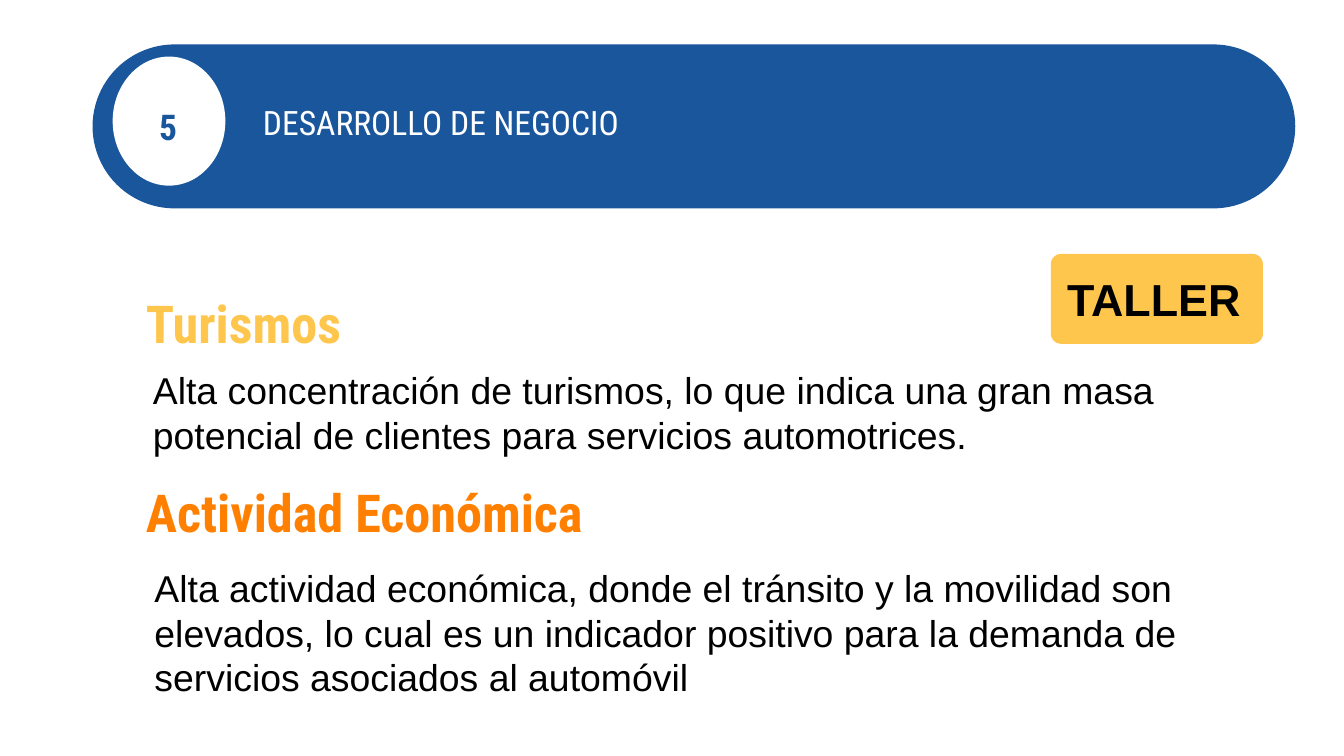
from pptx import Presentation
from pptx.dml.color import RGBColor
from pptx.enum.shapes import MSO_SHAPE
from pptx.enum.text import MSO_ANCHOR, PP_ALIGN
from pptx.util import Cm, Pt

ROUND = MSO_SHAPE.ROUNDED_RECTANGLE
OVAL = MSO_SHAPE.OVAL
MIDDLE = MSO_ANCHOR.MIDDLE
LEFT = PP_ALIGN.LEFT
CENTER = PP_ALIGN.CENTER

SANS = "Arial"
HEAD = "Roboto Condensed"
BLUE = "1A569C"
GOLD = "FFC64E"
ORANGE = "FF8001"
WHITE = "FFFFFF"
BLACK = "000000"


def paint(format, hue):
    format.rgb = RGBColor.from_string(hue)


def within(box, x, y, w, h):
    return box[0] + x, box[1] + y, w, h


def add_form(slide, kind, box, hue, round=None):
    form = slide.shapes.add_shape(kind, *map(Cm, box))
    form.shadow.inherit = False
    form.fill.solid()
    paint(form.fill.fore_color, hue)
    form.line.fill.background()
    if round is not None:
        form.adjustments[0] = round
    return form


def write(form, text, font, size, hue, bold=False, align=LEFT):
    frame = form.text_frame
    frame.word_wrap = True
    frame.vertical_anchor = MIDDLE
    frame.margin_left = frame.margin_right = Cm(0.25)
    frame.margin_top = frame.margin_bottom = Cm(0.25)
    line = frame.paragraphs[0]
    line.alignment = align
    run = line.add_run()
    run.text = text
    run.font.name = font
    run.font.size = Pt(size)
    run.font.bold = bold
    paint(run.font.color, hue)


def add_text(slide, box, *args, **style):
    write(slide.shapes.add_textbox(*map(Cm, box)), *args, **style)


def add_header(slide, box, number, title):
    add_form(slide, ROUND, box, BLUE, 0.5)
    add_form(slide, OVAL, within(box, 0.38, 0.23, 2.13, 2.44), WHITE)
    add_text(slide, within(box, 2.97, 0.33, 7.9, 2.29), title, HEAD, 18, WHITE)
    add_text(slide, within(box, 0.36, 0.63, 2.13, 1.83), number, HEAD, 19, BLUE,
             bold=True, align=CENTER)


def add_tag(slide, box, label):
    tag = add_form(slide, ROUND, box, GOLD, 0.115)
    write(tag, label, SANS, 24, BLACK, bold=True)


def add_topic(slide, box, title, hue, body, place):
    add_text(slide, box, title, HEAD, 28, hue, bold=True)
    add_text(slide, within(box, *place), body, SANS, 20, BLACK)


def main():
    deck = Presentation()
    deck.slide_width, deck.slide_height = Cm(25.4), Cm(14.29)
    slide = deck.slides.add_slide(deck.slide_layouts[6])
    add_tag(slide, (19.86, 4.8, 4.01, 1.7), "TALLER")
    add_topic(slide, (2.51, 5.69, 4.7, 0.81), "Turismos", GOLD,
              "Alta concentración de turismos, lo que indica una gran masa "
              "potencial de clientes para servicios automotrices.",
              (0.13, 1.6, 22.15, 0.99))
    add_topic(slide, (2.51, 9.07, 9.75, 1.19), "Actividad Económica", ORANGE,
              "Alta actividad económica, donde el tránsito y la movilidad son "
              "elevados, lo cual es un indicador positivo para la demanda de "
              "servicios asociados al automóvil",
              (0.16, 2.74, 21.92, 0.28))
    add_header(slide, (1.75, 0.84, 22.73, 3.1), "5", "DESARROLLO DE NEGOCIO")
    deck.save("out.pptx")


if __name__ == "__main__":
    main()
